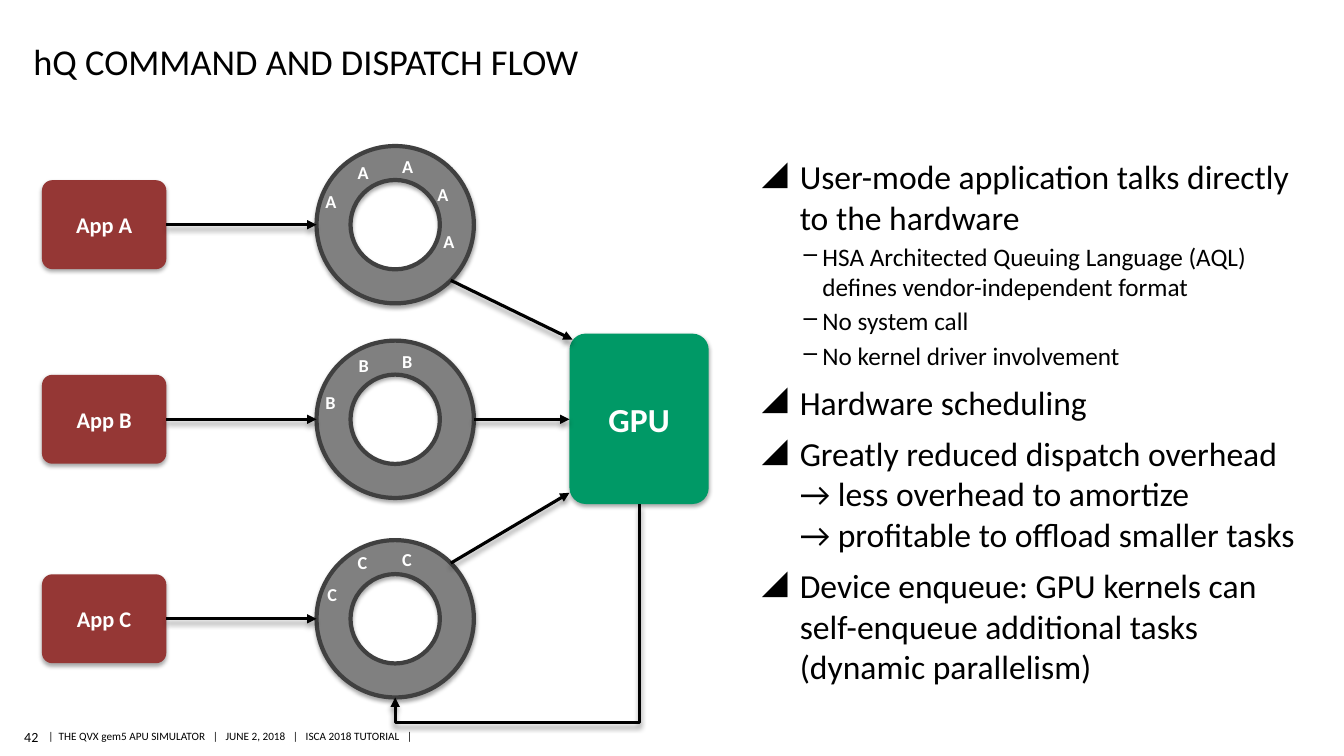
from dataclasses import dataclass
from math import sqrt

from lxml import etree
from pptx import Presentation
from pptx.dml.color import RGBColor
from pptx.enum.shapes import MSO_CONNECTOR, MSO_SHAPE
from pptx.enum.text import MSO_ANCHOR, PP_ALIGN
from pptx.oxml.ns import qn
from pptx.util import Pt

STRAIGHT, ELBOW = MSO_CONNECTOR.STRAIGHT, MSO_CONNECTOR.ELBOW
DONUT, ROUNDED = MSO_SHAPE.DONUT, MSO_SHAPE.ROUNDED_RECTANGLE
TOP, MIDDLE, BOTTOM = MSO_ANCHOR.TOP, MSO_ANCHOR.MIDDLE, MSO_ANCHOR.BOTTOM
LEFT, CENTER, RIGHT = PP_ALIGN.LEFT, PP_ALIGN.CENTER, PP_ALIGN.RIGHT


@dataclass(frozen=True)
class Theme:
    font: str = "Calibri"
    black: str = "000000"
    white: str = "FFFFFF"
    app: str = "953735"
    gpu: str = "009966"
    ring: str = "808080"
    ring_edge: str = "404040"
    title: int = 26
    heading: int = 24
    detail: int = 18
    app_label: int = 16
    packet: int = 13
    number: int = 10
    footer: int = 8


THEME = Theme()

TITLE = "hQ COMMAND AND DISPATCH FLOW"
NUMBER = "42"
FOOTER = "|  THE QVX gem5 APU SIMULATOR   |   JUNE 2, 2018   |   ISCA 2018 TUTORIAL   |"
POINTS = [
    (0, ["User-mode application talks directly to the hardware"]),
    (1, ["HSA Architected Queuing Language (AQL) defines vendor-independent format"]),
    (1, ["No system call"]),
    (1, ["No kernel driver involvement"]),
    (0, ["Hardware scheduling"]),
    (0, ["Greatly reduced dispatch overhead",
         "→ less overhead to amortize",
         "→ profitable to offload smaller tasks"]),
    (0, ["Device enqueue: GPU kernels can self-enqueue additional tasks "
         "(dynamic parallelism)"]),
]
# Bullet, text indent, hanging indent, space before, type size
LEVELS = [
    ("◢", 27, 27, 8, THEME.heading),
    ("‒", 43.2, 14.4, 3, THEME.detail),
]
# Queue letter, centre height, top-left corners of the packet letters
QUEUES = [
    ("A", 160.5, [(225.4, 132.5), (248.4, 111.6), (280.1, 107.3),
                  (305.3, 127.4), (309.6, 160.6)]),
    ("B", 299.5, [(225.4, 275.8), (249.1, 249.8), (280.1, 247)]),
    ("C", 442, [(226.8, 413.3), (248.4, 390.2), (280.1, 388.1)]),
]
APP_LEFT, APP_WIDTH, APP_HEIGHT = 30, 88.8, 63.5
RING_X, RING_SIZE = 282.3, 112.4
GPU_BOX = (406.8, 238.3, 99.4, 121.7)
RETURN_DROP = 18
SHAPE_SHADOW = (35, 3.1, 1.8)
LINE_SHADOW = (40, 4, 3)


def rgb(color):
    return RGBColor.from_string(color)


def add_shadow(shape, opacity, blur, distance):
    effects = etree.SubElement(shape._element.spPr, qn("a:effectLst"))
    shadow = etree.SubElement(
        effects, qn("a:outerShdw"), blurRad=str(Pt(blur)), dist=str(Pt(distance)),
        dir="5400000", rotWithShape="0")
    color = etree.SubElement(shadow, qn("a:srgbClr"), val=THEME.black)
    etree.SubElement(color, qn("a:alpha"), val=str(opacity * 1000))


def add_run(paragraph, text, size, color=THEME.black, bold=False):
    run = paragraph.add_run()
    run.text = text
    run.font.name = THEME.font
    run.font.size = Pt(size)
    run.font.bold = bold
    run.font.color.rgb = rgb(color)


def set_frame(shape, insets, anchor, wrap=True):
    """Set insets (left, top, right, bottom) and return the text frame."""
    frame = shape.text_frame
    frame.margin_left, frame.margin_top, frame.margin_right, frame.margin_bottom = map(Pt, insets)
    frame.vertical_anchor = anchor
    frame.word_wrap = wrap
    return frame


def add_text(slide, box, text, size, insets, anchor, align=LEFT, wrap=False,
             color=THEME.black, bold=False):
    shape = slide.shapes.add_textbox(*map(Pt, box))
    paragraph = set_frame(shape, insets, anchor, wrap).paragraphs[0]
    paragraph.alignment = align
    add_run(paragraph, text, size, color, bold)


def add_block(slide, box, label, size, fill):
    block = slide.shapes.add_shape(ROUNDED, *map(Pt, box))
    block.adjustments[0] = 0.116
    block.fill.solid()
    block.fill.fore_color.rgb = rgb(fill)
    block.line.fill.background()
    add_shadow(block, *SHAPE_SHADOW)
    paragraph = set_frame(block, (3.6,) * 4, MIDDLE).paragraphs[0]
    paragraph.alignment = CENTER
    add_run(paragraph, label, size, THEME.white, True)


def add_ring(slide, center_y):
    radius = RING_SIZE / 2
    ring = slide.shapes.add_shape(
        DONUT, Pt(RING_X - radius), Pt(center_y - radius), Pt(RING_SIZE), Pt(RING_SIZE))
    ring.adjustments[0] = 0.216
    ring.fill.solid()
    ring.fill.fore_color.rgb = rgb(THEME.ring)
    ring.line.color.rgb = rgb(THEME.ring_edge)
    ring.line.width = Pt(3)
    add_shadow(ring, *SHAPE_SHADOW)


def add_arrow(slide, start, end, kind=STRAIGHT):
    arrow = slide.shapes.add_connector(kind, *map(Pt, start + end))
    arrow.line.color.rgb = rgb(THEME.black)
    arrow.line.width = Pt(2.25)
    etree.SubElement(arrow.line._get_or_add_ln(), qn("a:tailEnd"), type="triangle")
    add_shadow(arrow, *LINE_SHADOW)
    return arrow


def add_return_arrow(slide, start, end):
    """Elbow turned a quarter: down from start, left, then up into end."""
    center_x, center_y = (start[0] + end[0]) / 2, (start[1] + end[1]) / 2
    width, height = end[1] - start[1], start[0] - end[0]
    arrow = add_arrow(slide, (center_x - width / 2, center_y - height / 2),
                      (center_x + width / 2, center_y + height / 2), ELBOW)
    properties = arrow._element.spPr
    properties.find(qn("a:xfrm")).set("rot", "5400000")
    bend = round((1 + RETURN_DROP / width) * 100000)
    etree.SubElement(properties.find(qn("a:prstGeom")).find(qn("a:avLst")), qn("a:gd"),
                     name="adj1", fmla=f"val {bend}")


def add_points(slide):
    shape = slide.shapes.add_textbox(Pt(544.3), Pt(108), Pt(393.1), Pt(396))
    frame = set_frame(shape, (0, 3.6, 0, 3.6), TOP)
    for index, (level, lines) in enumerate(POINTS):
        bullet, margin, hanging, space, size = LEVELS[level]
        paragraph = frame.add_paragraph() if index else frame.paragraphs[0]
        paragraph.level = level
        paragraph.space_before = Pt(space if index else 0)
        properties = paragraph._p.get_or_add_pPr()
        properties.set("marL", str(Pt(margin)))
        properties.set("indent", str(-Pt(hanging)))
        color = etree.SubElement(properties, qn("a:buClr"))
        etree.SubElement(color, qn("a:srgbClr"), val=THEME.black)
        etree.SubElement(properties, qn("a:buChar"), char=bullet)
        for line_index, line in enumerate(lines):
            if line_index:
                paragraph.add_line_break()
            add_run(paragraph, line, size)


def add_flow(slide):
    radius = RING_SIZE / 2
    diagonal = radius / sqrt(2)
    gpu_left, gpu_top, gpu_width, gpu_height = GPU_BOX
    for letter, center_y, packets in QUEUES:
        add_ring(slide, center_y)
        add_block(slide, (APP_LEFT, center_y - APP_HEIGHT / 2, APP_WIDTH, APP_HEIGHT),
                  f"App {letter}", THEME.app_label, THEME.app)
        add_arrow(slide, (APP_LEFT + APP_WIDTH, center_y), (RING_X - radius, center_y))
        for left, top in packets:
            add_text(slide, (left, top, 22, 23), letter, THEME.packet, (7.2, 3.6, 7.2, 3.6),
                     TOP, color=THEME.white, bold=True)
    add_block(slide, GPU_BOX, "GPU", THEME.heading, THEME.gpu)

    top_y, middle_y, bottom_y = [center_y for _, center_y, _ in QUEUES]
    add_arrow(slide, (RING_X + diagonal, top_y + diagonal), (gpu_left + 2.2, gpu_top + 4.3))
    add_arrow(slide, (RING_X + radius, middle_y), (gpu_left, middle_y))
    add_arrow(slide, (RING_X + diagonal, bottom_y - diagonal),
              (gpu_left, gpu_top + gpu_height - 8))
    add_return_arrow(slide, (gpu_left + gpu_width / 2, gpu_top + gpu_height),
                     (RING_X, bottom_y + radius))


def main():
    presentation = Presentation()
    presentation.slide_width, presentation.slide_height = Pt(960), Pt(540)
    slide = presentation.slides.add_slide(presentation.slide_layouts[5])
    title = slide.shapes.title
    title.left, title.top, title.width, title.height = map(Pt, (23.8, 21.6, 820.8, 37.4))
    paragraph = set_frame(title, (0, 3.6, 0, 0), BOTTOM).paragraphs[0]
    paragraph.alignment = LEFT
    add_run(paragraph, TITLE, THEME.title)
    add_text(slide, (15.8, 517, 11.6, 18.7), NUMBER, THEME.number, (0, 2.9, 0, 2.9),
             MIDDLE, RIGHT)
    add_text(slide, (34.6, 517.7, 262.8, 16.6), FOOTER, THEME.footer, (0, 2.9, 0, 2.9),
             MIDDLE, wrap=True)
    add_points(slide)
    add_flow(slide)
    presentation.save("out.pptx")


if __name__ == "__main__":
    main()
